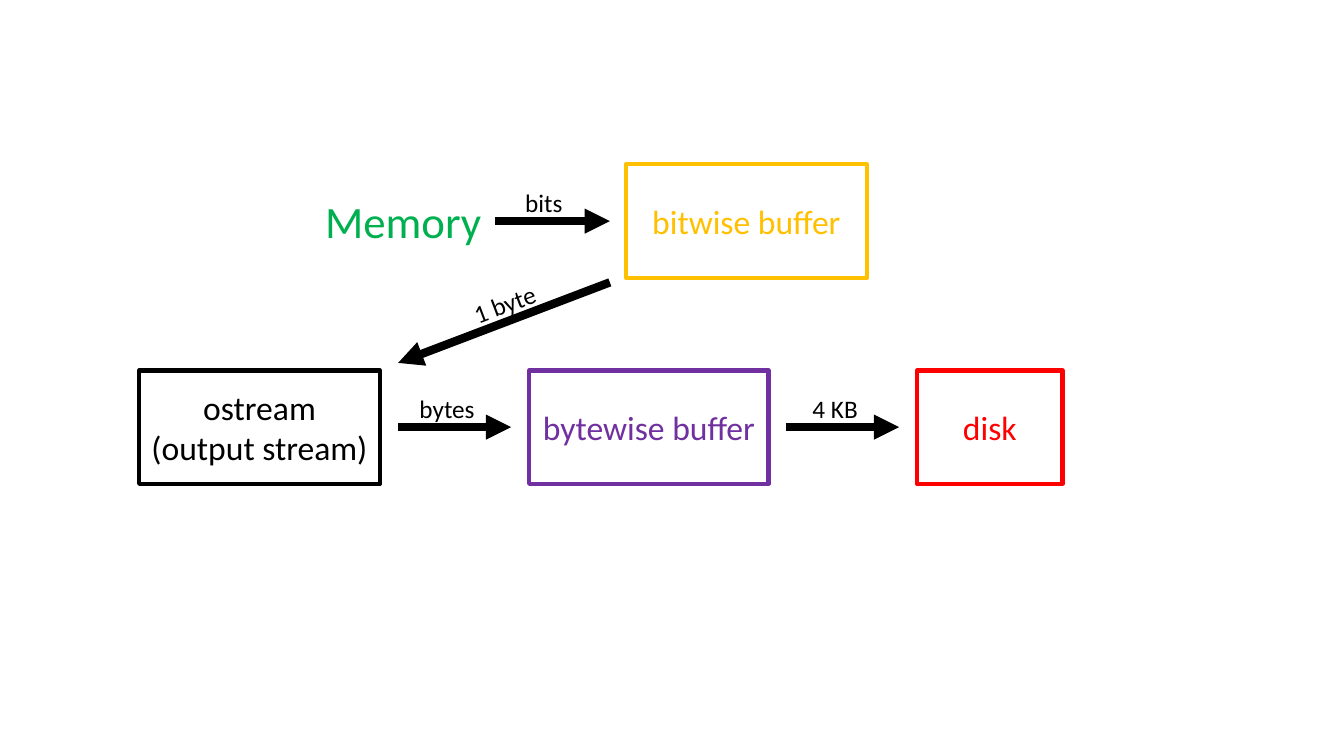
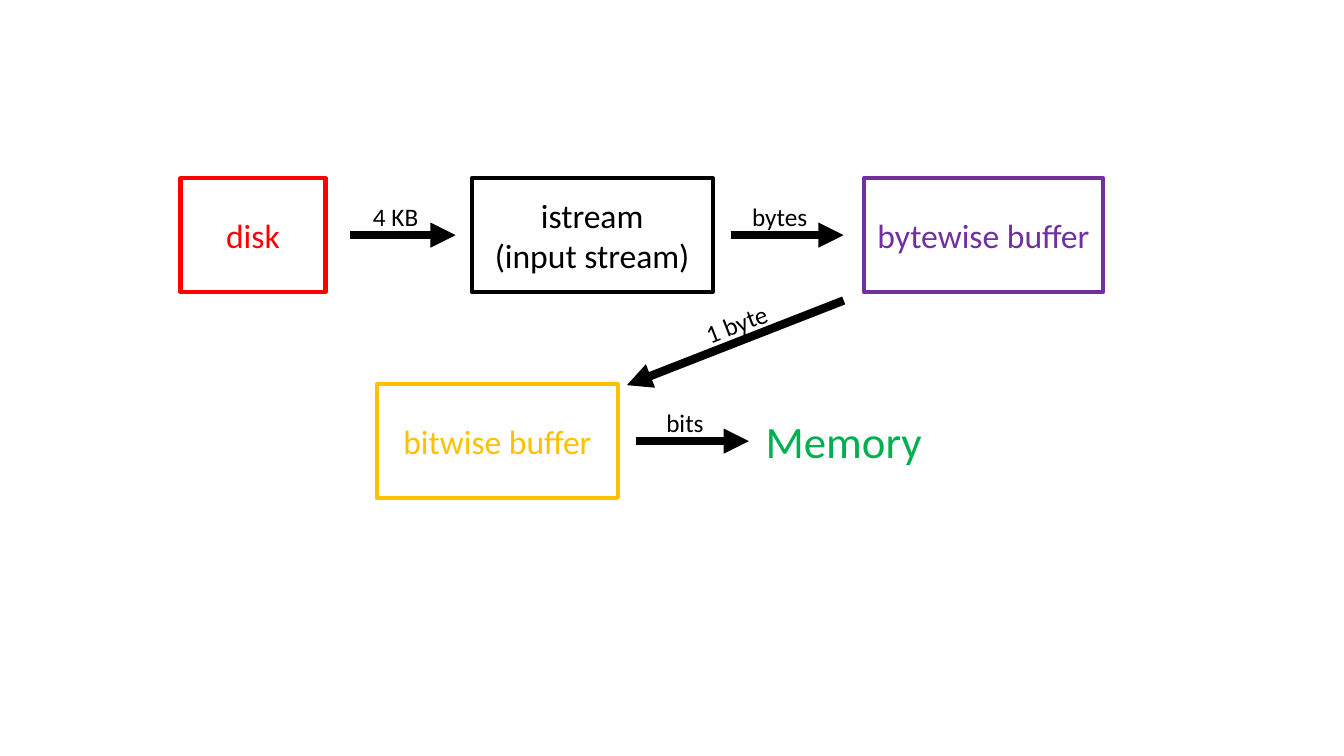
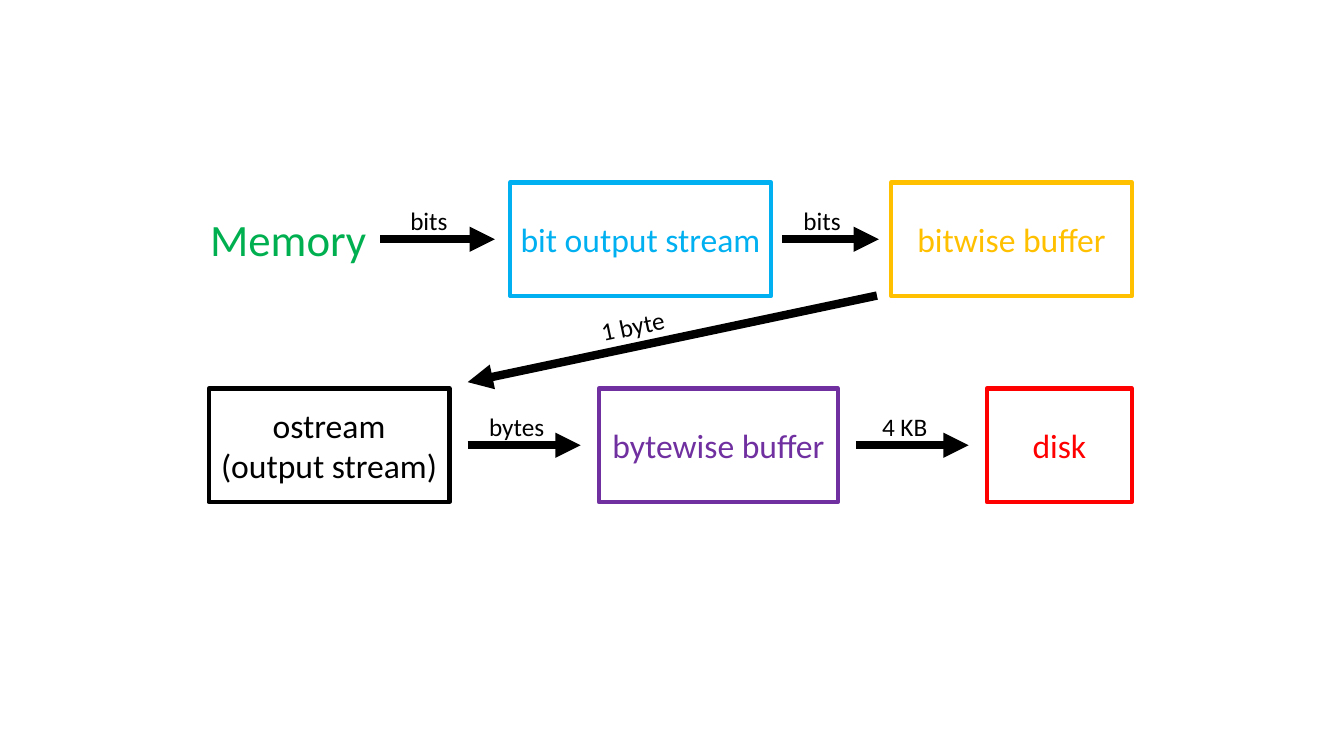
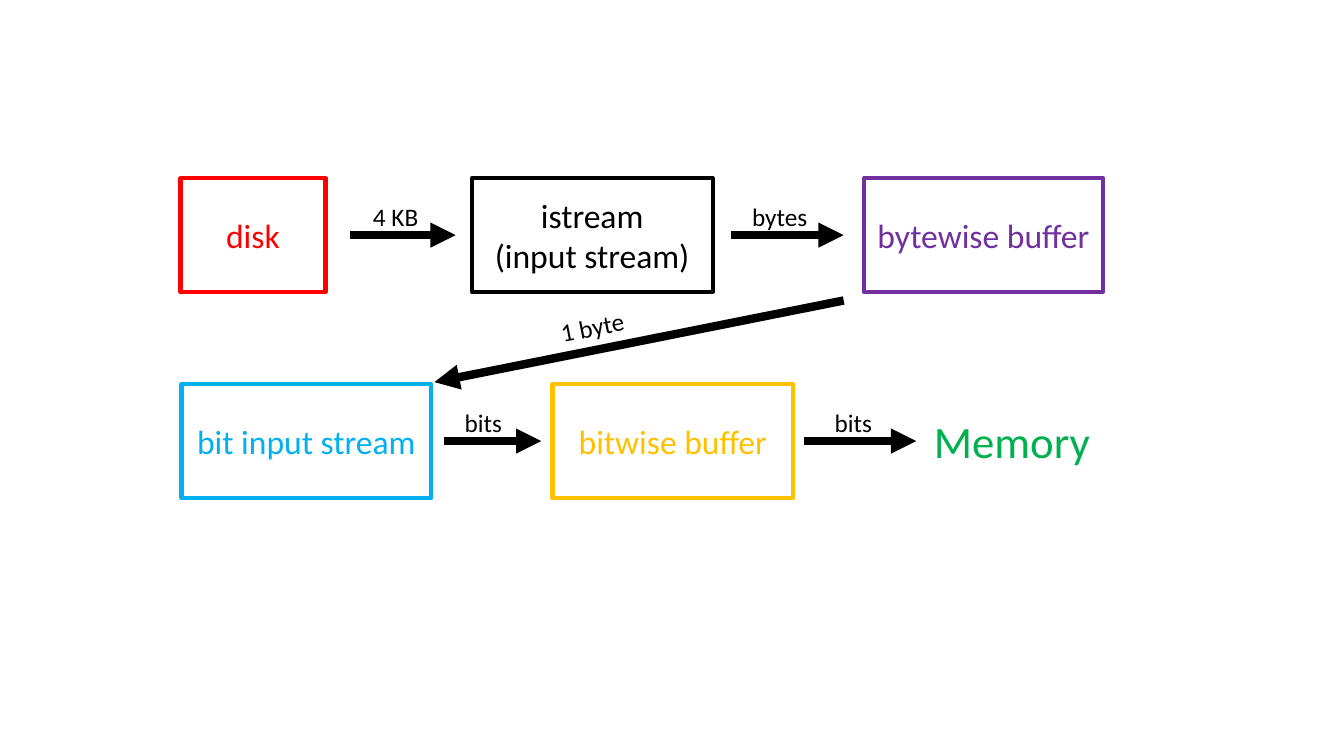
from math import atan2, degrees

from pptx import Presentation
from pptx.dml.color import RGBColor
from pptx.enum.shapes import MSO_CONNECTOR as CONN, MSO_SHAPE as SHAPE
from pptx.enum.text import MSO_ANCHOR as ANCHOR, MSO_AUTO_SIZE as AUTO, PP_ALIGN as ALIGN
from pptx.oxml.ns import qn
from pptx.util import Inches, Pt
from lxml.etree import SubElement

# Grid: 40 columns by 20 rows; each diagram has two bands of boxes
COLS, ROWS = 40, 20
BAND_H, BAND_STEP = 3, 5.45
LABEL_W, LABEL_H, LABEL_DROP = 2.91, 1.08, 0.47
MEMORY_W, MEMORY_H = 5.46, 1.71
BLACK, GREEN = "000000", "00B050"

# Box kinds: text, width in columns, colour
BOXES = {
    "ostream": ("ostream\n(output stream)", 7.17, BLACK),
    "istream": ("istream\n(input stream)", 7.17, BLACK),
    "bytewise": ("bytewise buffer", 7.12, "7030A0"),
    "bitwise": ("bitwise buffer", 7.17, "FFC000"),
    "disk": ("disk", 4.32, "FF0000"),
    "bit out": ("bit output stream", 7.77, "00B0F0"),
    "bit in": ("bit input stream", 7.44, "00B0F0"),
}


def rgb(value):
    return RGBColor.from_string(value)


def write(tf, text, size=18, color=BLACK, font="Calibri", align=ALIGN.CENTER,
          anchor=ANCHOR.TOP):
    tf.word_wrap = True
    tf.vertical_anchor = anchor
    for i, line in enumerate(text.split("\n")):
        p = tf.paragraphs[0] if i == 0 else tf.add_paragraph()
        p.alignment = align
        r = p.add_run()
        r.text = line
        r.font.size, r.font.name = Pt(size), font
        r.font.color.rgb = rgb(color)


class Diagram:
    """Shared style and the slide being drawn; y counts rows below the first band."""

    def __init__(self, prs):
        self.prs = prs

    def start(self, top):
        self.slide = self.prs.slides.add_slide(self.prs.slide_layouts[6])
        self.top = top

    def x(self, cols):
        return round(self.prs.slide_width * cols / COLS)

    def y(self, rows):
        return round(self.prs.slide_height * rows / ROWS)

    def place(self, col, row, w, h):
        return self.x(col), self.y(self.top + row), self.x(w), self.y(h)

    def box(self, band, col, kind):
        text, width, color = BOXES[kind]
        sp = self.slide.shapes.add_shape(
            SHAPE.RECTANGLE, *self.place(col, band * BAND_STEP, width, BAND_H))
        sp.shadow.inherit = False
        sp.fill.background()
        sp.line.color.rgb = rgb(color)
        sp.line.width = Pt(3)
        write(sp.text_frame, text, size=24, color=color, anchor=ANCHOR.MIDDLE)

    def label(self, col, row, w, h, text, angle=0, **fmt):
        tb = self.slide.shapes.add_textbox(*self.place(col, row, w, h))
        tb.rotation = angle
        write(tb.text_frame, text, **fmt)
        tb.text_frame.auto_size = AUTO.SHAPE_TO_FIT_TEXT

    def memory(self, band, col):
        row = band * BAND_STEP + (BAND_H - MEMORY_H) / 2
        self.label(col, row, MEMORY_W, MEMORY_H, "Memory", size=32, color=GREEN)

    def line(self, x1, y1, x2, y2):
        cn = self.slide.shapes.add_connector(
            CONN.STRAIGHT, self.x(x1), self.y(self.top + y1),
            self.x(x2), self.y(self.top + y2))
        cn.line.color.rgb = rgb(BLACK)
        cn.line.width = Pt(6)
        SubElement(cn.line._get_or_add_ln(), qn("a:tailEnd"), type="triangle")
        SubElement(cn._element.spPr, qn("a:effectLst"))
        return cn

    def arrow(self, band, x1, x2, text, label_x=None):
        row = band * BAND_STEP
        self.line(x1, row + BAND_H / 2, x2, row + BAND_H / 2)
        self.label(x1 if label_x is None else label_x, row + LABEL_DROP,
                   LABEL_W, LABEL_H, text)

    def byte_arrow(self, start, end, label_at):
        """Slanted arrow down to the second band, its label turned along it."""
        cn = self.line(*start, *end)
        angle = -degrees(atan2(cn.height, cn.width))
        self.label(*label_at, LABEL_W, LABEL_H, "1 byte", angle=angle)

    # Runs of boxes that several slides share
    def memory_source(self, col):
        self.memory(0, col)
        self.arrow(0, col + MEMORY_W, col + 8.88, "bits")

    def disk_target(self, col):
        self.box(1, col, "ostream")
        self.arrow(1, col + 7.71, col + 11.07, "bytes")
        self.box(1, col + 11.61, "bytewise")
        self.arrow(1, col + 19.26, col + 22.62, "4 KB")
        self.box(1, col + 23.16, "disk")

    def disk_source(self):
        self.box(0, 5.37, "disk")
        self.arrow(0, 10.41, 13.56, "4 KB", label_x=10.32)
        self.box(0, 14.04, "istream")
        self.arrow(0, 21.75, 25.11, "bytes")
        self.box(0, 25.71, "bytewise")


prs = Presentation()
prs.slide_width, prs.slide_height = Inches(13.33), Inches(7.5)
d = Diagram(prs)

# Slide 1: writing through a bitwise buffer
d.start(4.35)
d.memory_source(9.27)
d.box(0, 18.63, "bitwise")
d.byte_arrow((18.15, 3.12), (11.85, 5.25), (13.56, 3.15))
d.disk_target(4.14)

# Slide 2: reading through a bitwise buffer
d.start(4.72)
d.disk_source()
d.byte_arrow((25.11, 3.23), (18.66, 5.47), (20.46, 3.31))
d.box(1, 11.22, "bitwise")
d.arrow(1, 18.93, 22.29, "bits")
d.memory(1, 22.38)

# Slide 3: writing through a bit output stream
d.start(4.83)
d.memory_source(5.85)
d.box(0, 15.18, "bit out")
d.arrow(0, 23.28, 26.16, "bits", label_x=23.01)
d.box(0, 26.52, "bitwise")
d.byte_arrow((26.1, 2.99), (13.92, 5.28), (17.37, 3.25))
d.disk_target(6.21)

# Slide 4: reading through a bit input stream
d.start(4.72)
d.disk_source()
d.byte_arrow((25.11, 3.23), (12.93, 5.39), (16.17, 3.39))
d.box(1, 5.4, "bit in")
d.arrow(1, 13.2, 16.11, "bits", label_x=12.93)
d.box(1, 16.44, "bitwise")
d.arrow(1, 23.94, 27.27, "bits")
d.memory(1, 27.39)

prs.save("out.pptx")
